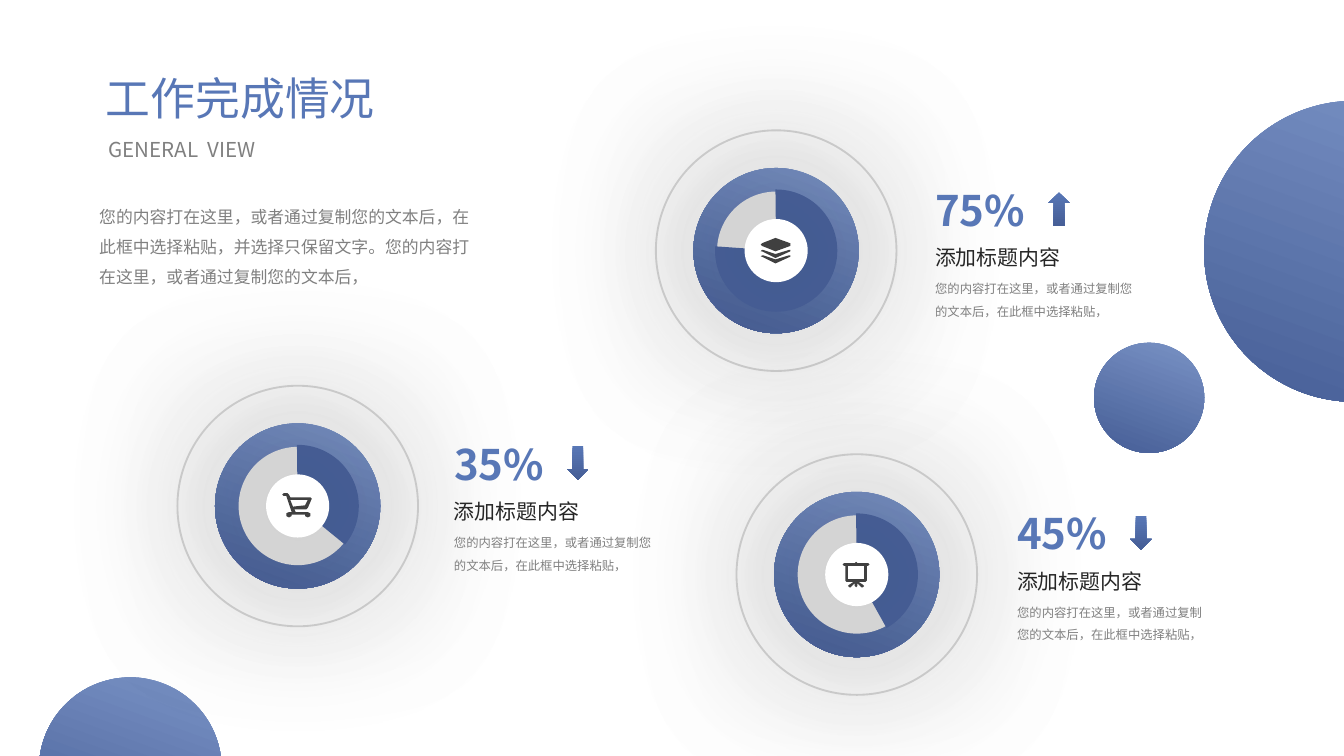
import pptx
import pptx.util
import pptx.dml.color
import pptx.enum.shapes
import pptx.enum.text
import pptx.oxml
import pptx.oxml.ns

Inches = pptx.util.Inches
RGB = pptx.dml.color.RGBColor.from_string
SHAPE = pptx.enum.shapes.MSO_SHAPE

COLORS = {
    "light": "7992C5", "blue": "5877B6", "dark": "465E96", "white": "FFFFFF",
    "silver": "D9D9D9", "grey": "808080", "ink": "262626", "icon": "404040",
}
BALL = ("light", "dark", 110)
ACCENT = ("blue", "dark", 90)
FONT = "Noto Sans CJK SC"

# Widescreen 16:9 slide
prs = pptx.Presentation()
prs.slide_width = Inches(10)
prs.slide_height = Inches(10 * 9 / 16)
s = prs.slides.add_slide(prs.slide_layouts[6])


def paint(target, color):
    """Fill with a colour name or a (first, last, clockwise angle) gradient."""
    if isinstance(color, str):
        target.solid()
        target.fore_color.rgb = RGB(COLORS[color])
        return
    target.gradient()
    target.gradient_angle = 360 - color[2]
    for stop, name in zip(target.gradient_stops, color):
        stop.color.rgb = RGB(COLORS[name])


def add_text(text, x, y, w, h, size, color="grey", bold=False, wrap=True, spacing=None):
    tf = s.shapes.add_textbox(Inches(x), Inches(y), Inches(w), Inches(h)).text_frame
    tf.word_wrap = wrap
    tf.auto_size = pptx.enum.text.MSO_AUTO_SIZE.SHAPE_TO_FIT_TEXT
    p = tf.paragraphs[0]
    if spacing:
        p.line_spacing = spacing
    r = p.add_run()
    r.text = text
    r.font.size = pptx.util.Pt(size)
    r.font.bold = bold
    r.font.name = FONT
    paint(r.font.fill, color)
    ea = pptx.oxml.parse_xml(
        f'<a:ea {pptx.oxml.ns.nsdecls("a")} typeface="{FONT}"/>')
    r.font._element.find(pptx.oxml.ns.qn("a:latin")).addnext(ea)


# Icon outlines, in hundredths of an inch; the first contour is the body
cart = [
    [(22, 4), (19, 11), (18, 12), (9, 12), (10, 14), (19, 14), (21, 15), (21, 17),
     (19, 18), (17, 17), (17, 16), (7, 16), (7, 17), (5, 18), (3, 17), (3, 15),
     (5, 14), (7, 14), (3, 2), (1, 2), (0, 1), (1, 0), (4, 0), (5, 1), (6, 3), (21, 3)],
    [(6, 5), (8, 10), (17, 9), (19, 5)],
]
strip = [(0, 10), (1, 9), (2, 9), (11, 12), (21, 9), (22, 9), (22, 10), (11, 15), (1, 10)]
layers = [[(22, 6), (11, 10), (1, 6), (0, 5), (1, 4), (11, 0), (22, 4)]]
layers += [[(x, y + dy) for x, y in strip] for dy in (0, 4)]
half = [(10, 0), (9, 1), (1, 1), (0, 2), (1, 3), (2, 3), (2, 14), (3, 15), (8, 15),
        (5, 17), (4, 18), (5, 19), (6, 19), (9, 16), (9, 18), (10, 19)]
board = [half + [(20 - x, y) for x, y in reversed(half[1:-1])],
         [(4, 3), (16, 3), (16, 13), (4, 13)]]

# Decorative balls
for x, y, d in [(8.96, 0.75, 2.24), (8.14, 2.55, 0.82), (0.29, 5.04, 1.36)]:
    sp = s.shapes.add_shape(SHAPE.OVAL, Inches(x), Inches(y), Inches(d), Inches(d))
    sp.shadow.inherit = False
    sp.line.fill.background()
    paint(sp.fill, BALL)

# Dials: ring left and top, pie end, percent, arrow, text left and top,
# body width, icon and its left and top
RING = 1.79
dials = [
    (1.32, 2.87, 23.54, "35%", SHAPE.DOWN_ARROW, 3.28, 3.21, 1.70, cart, 2.10, 3.67),
    (4.88, 0.97, 110.42, "75%", SHAPE.UP_ARROW, 6.86, 1.32, 1.75, layers, 5.66, 1.77),
    (5.48, 3.38, 36.56, "45%", SHAPE.DOWN_ARROW, 7.47, 3.73, 1.63, board, 6.27, 4.18),
]
# Concentric parts: shape, diameter, fill, shadow opacity
parts = [
    (SHAPE.OVAL, RING, None, 0),
    (SHAPE.OVAL, 1.23, BALL, 20),
    (SHAPE.OVAL, 0.88, "silver", 30),
    (SHAPE.PIE, 0.91, "dark", 0),
    (SHAPE.OVAL, 0.47, "white", 40),
]
for left, top, pie_end, percent, arrow, tx, ty, body_w, icon, ix, iy in dials:
    for kind, d, color, opacity in parts:
        inset = (RING - d) / 2
        sp = s.shapes.add_shape(kind, Inches(left + inset), Inches(top + inset),
                                Inches(d), Inches(d))
        sp.shadow.inherit = False
        if color:
            paint(sp.fill, color)
            sp.line.fill.background()
        else:
            sp.fill.background()
            sp.line.color.rgb = RGB(COLORS["silver"])
            sp.line.width = pptx.util.Pt(1)
        if kind == SHAPE.PIE:
            sp.adjustments[0] = 161.6
            sp.adjustments[1] = pie_end
        if opacity:
            effects = sp._element.spPr.find(pptx.oxml.ns.qn("a:effectLst"))
            effects.append(pptx.oxml.parse_xml(
                f'<a:outerShdw {pptx.oxml.ns.nsdecls("a")} blurRad="{pptx.util.Pt(100)}" '
                f'dist="0" dir="0" algn="ctr" rotWithShape="0">'
                f'<a:srgbClr val="{COLORS["ink"]}"><a:alpha val="{opacity * 1000}"/>'
                f'</a:srgbClr></a:outerShdw>'))

    # Icon
    fb = s.shapes.build_freeform(*icon[0][0], scale=Inches(0.01))
    fb.add_line_segments(icon[0][1:], close=True)
    for contour in icon[1:]:
        fb.move_to(*contour[0])
        fb.add_line_segments(contour[1:], close=True)
    sp = fb.convert_to_shape(Inches(ix), Inches(iy))
    sp.shadow.inherit = False
    sp.line.fill.background()
    paint(sp.fill, "icon")

    # Percentage, arrow and caption
    add_text(percent, tx, ty, 0.89, 0.48, 22.5, ACCENT, bold=True, wrap=False)
    sp = s.shapes.add_shape(arrow, Inches(tx + 0.94), Inches(ty + 0.11),
                            Inches(0.16), Inches(0.25))
    sp.shadow.inherit = False
    sp.line.fill.background()
    paint(sp.fill, ACCENT)
    add_text("添加标题内容", tx, ty + 0.45, 1.34, 0.29, 11.2, "ink")
    add_text("您的内容打在这里，或者通过复制您的文本后，在此框中选择粘贴，",
             tx, ty + 0.67, body_w, 0.41, 6.6, spacing=1.5)

# Heading and introduction
add_text("您的内容打在这里，或者通过复制您的文本后，在此框中选择粘贴，并选择只保留文字。"
         "您的内容打在这里，或者通过复制您的文本后，",
         0.64, 1.41, 2.97, 0.78, 9, spacing=1.5)
add_text("工作完成情况", 0.69, 0.48, 2.59, 0.5, 24, ACCENT)
add_text("GENERAL  VIEW", 0.71, 0.97, 2.03, 0.29, 11)

prs.save("out.pptx")
